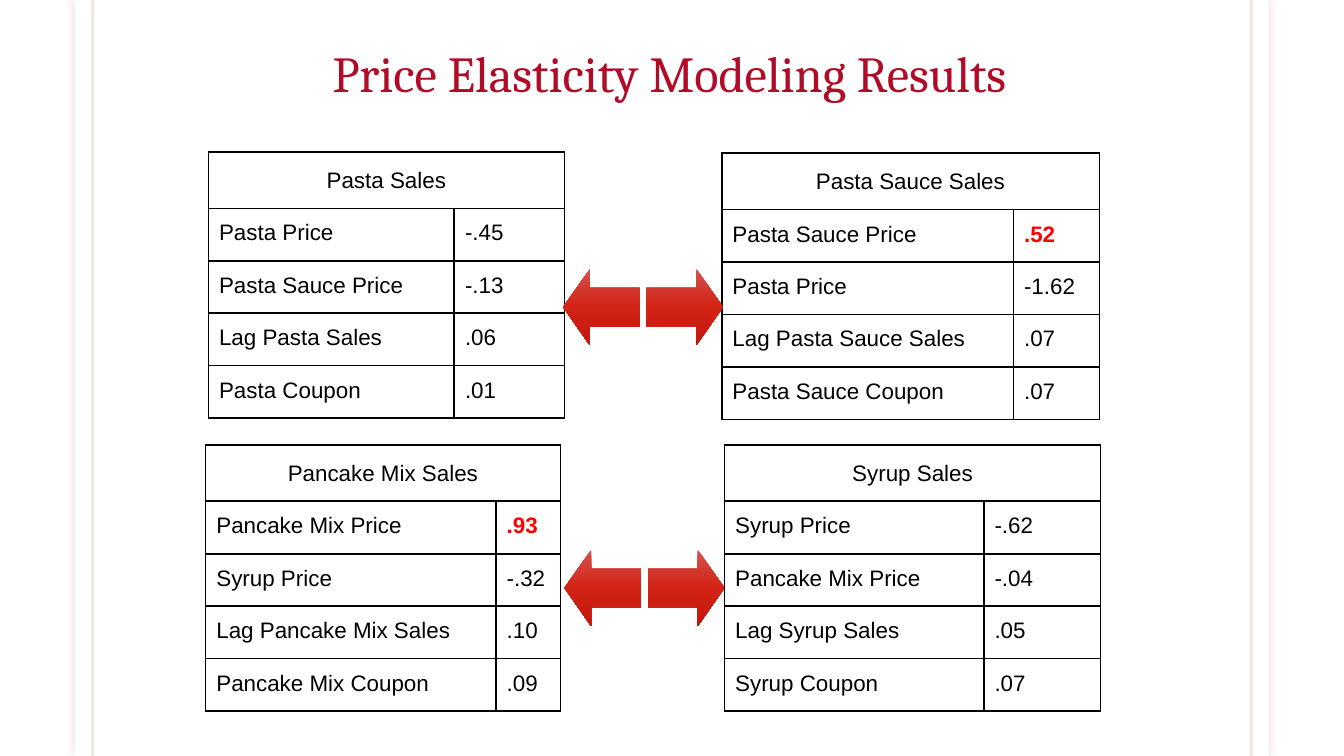
import pptx
import pptx.dml.color
import pptx.enum.shapes
import pptx.enum.text
import pptx.oxml
import pptx.util
from pptx.util import Inches

NS = 'xmlns:a="http://schemas.openxmlformats.org/drawingml/2006/main"'
SLIDE_W = Inches(10)
SLIDE_H = SLIDE_W * 9 // 16
BLACK, RED, WHITE, TITLE_RED = "000000", "FF0000", "FFFFFF", "B10C27"
ARROW_STOPS = [(0, "D4524E"), (50, "D32315"), (100, "C3180B")]

# left, top, column widths, row heights (header, body), heading, body rows
TABLES = [
    (1.55, 1.13, (1.83, 0.82), (0.4, 0.37), "Pasta Sales",
     [("Pasta Price", "-.45"), ("Pasta Sauce Price", "-.13"),
      ("Lag Pasta Sales", ".06"), ("Pasta Coupon", ".01")]),
    (5.37, 1.14, (2.17, 0.64), (0.42, 0.39), "Pasta Sauce Sales",
     [("Pasta Sauce Price", ".52"), ("Pasta Price", "-1.62"),
      ("Lag Pasta Sauce Sales", ".07"), ("Pasta Sauce Coupon", ".07")]),
    (1.53, 3.31, (2.16, 0.48), (0.38, 0.35), "Pancake Mix Sales",
     [("Pancake Mix Price", ".93"), ("Syrup Price", "-.32"),
      ("Lag Pancake Mix Sales", ".10"), ("Pancake Mix Coupon", ".09")]),
    (5.39, 3.31, (1.93, 0.87), (0.36, 0.35), "Syrup Sales",
     [("Syrup Price", "-.62"), ("Pancake Mix Price", "-.04"),
      ("Lag Syrup Sales", ".05"), ("Syrup Coupon", ".07")]),
]
HIGHLIGHTS = {".52", ".93"}


def rgb(value):
    return pptx.dml.color.RGBColor.from_string(value)


def xml(text):
    return pptx.oxml.parse_xml(text)


def format_text(tf, size, font, color, align=None, spacing=None, bold=False):
    p = tf.paragraphs[0]
    p.alignment = align
    p.line_spacing = spacing
    r = p.runs[0]
    r.font.size = pptx.util.Pt(size)
    r.font.name = font
    r.font.bold = bold
    r.font.color.rgb = rgb(color)


def add_panel(s):
    sp = s.shapes.add_shape(pptx.enum.shapes.MSO_SHAPE.RECTANGLE,
                            Inches(0.56), 0, Inches(8.88), SLIDE_H)
    sp.fill.solid()
    sp.fill.fore_color.rgb = rgb(WHITE)
    sp.line.fill.background()
    sp._element.spPr.append(xml(
        f'<a:effectLst {NS}><a:outerShdw blurRad="{pptx.util.Pt(7)}" dist="0" dir="0">'
        '<a:srgbClr val="65150F"><a:alpha val="15000"/></a:srgbClr>'
        '</a:outerShdw></a:effectLst>'))


def add_rule(s, x):
    line = s.shapes.add_connector(pptx.enum.shapes.MSO_CONNECTOR.STRAIGHT,
                                  Inches(x), 0, Inches(x), SLIDE_H)
    line.line.width = pptx.util.Pt(1.5)
    line.line.color.rgb = rgb("79540B")
    spPr = line._element.spPr
    spPr.find(".//{*}srgbClr").append(xml(f'<a:alpha {NS} val="15000"/>'))
    spPr.append(xml(f'<a:effectLst {NS}/>'))


def add_title(s, text):
    tf = s.shapes.add_textbox(Inches(0.69), Inches(0.28), Inches(8.58), Inches(0.63)).text_frame
    tf.word_wrap = True
    tf.vertical_anchor = pptx.enum.text.MSO_ANCHOR.TOP
    tf.margin_left = tf.margin_right = tf.margin_top = tf.margin_bottom = Inches(0.1)
    tf.text = text
    format_text(tf, 27, "Cambria", TITLE_RED, pptx.enum.text.PP_ALIGN.CENTER, 0.85)


def style_cell(cell):
    cell.margin_left = cell.margin_right = Inches(0.08)
    cell.margin_top, cell.margin_bottom = Inches(0.09), Inches(0.1)
    tcPr = cell._tc.get_or_add_tcPr()
    for side in "LRTB":
        tcPr.append(xml(
            f'<a:ln{side} {NS} w="{pptx.util.Pt(1)}"><a:solidFill>'
            f'<a:srgbClr val="{BLACK}"/></a:solidFill></a:ln{side}>'))
    cell.fill.background()


def add_sales_table(s, left, top, widths, heights, heading, rows):
    header, body = heights
    table = s.shapes.add_table(len(rows) + 1, 2, Inches(left), Inches(top), Inches(sum(widths)),
                               Inches(header + body * len(rows))).table
    table.first_row = table.horz_banding = False
    for column, width in zip(table.columns, widths):
        column.width = Inches(width)
    for i, row in enumerate(table.rows):
        row.height = Inches(body if i else header)
    for cell in table.iter_cells():
        style_cell(cell)

    # Heading across both columns
    cell = table.cell(0, 0)
    cell.merge(table.cell(0, 1))
    cell.text_frame.text = heading
    format_text(cell.text_frame, 12, "Arial", BLACK, pptx.enum.text.PP_ALIGN.CENTER, 1.15)

    # Driver and its elasticity
    for i, row in enumerate(rows, 1):
        for j, text in enumerate(row):
            tf = table.cell(i, j).text_frame
            tf.text = text
            strong = text in HIGHLIGHTS
            format_text(tf, 12, "Arial", RED if strong else BLACK, bold=strong)


def add_arrow_pair(s, left, top):
    group = s.shapes.add_group_shape()
    stops = "".join(f'<a:gs pos="{pos * 1000}"><a:srgbClr val="{color}"/></a:gs>'
                    for pos, color in ARROW_STOPS)
    for x, rotation in ((left, 270), (left + 0.62, 90)):
        sp = group.shapes.add_shape(pptx.enum.shapes.MSO_SHAPE.UP_ARROW,
                                    Inches(x), Inches(top), Inches(0.57), Inches(0.57))
        sp.rotation = rotation
        sp.adjustments[0], sp.adjustments[1] = 0.5, 0.35
        sp.line.fill.background()
        sp.shadow.inherit = False
        # The gradient stays upright while the arrow turns
        sp._element.spPr.find("{*}prstGeom").addnext(xml(
            f'<a:gradFill {NS} rotWithShape="0"><a:gsLst>{stops}</a:gsLst>'
            '<a:lin ang="5400000" scaled="0"/></a:gradFill>'))


def main():
    prs = pptx.Presentation()
    prs.slide_width, prs.slide_height = SLIDE_W, SLIDE_H
    s = prs.slides.add_slide(prs.slide_layouts[6])

    # Page frame
    add_panel(s)
    for x in (0.69, 9.31):
        add_rule(s, x)

    # Content
    add_title(s, "Price Elasticity Modeling Results")
    for table in TABLES:
        add_sales_table(s, *table)
    add_arrow_pair(s, 4.19, 2)
    add_arrow_pair(s, 4.2, 4.09)

    prs.save("out.pptx")


if __name__ == "__main__":
    main()
